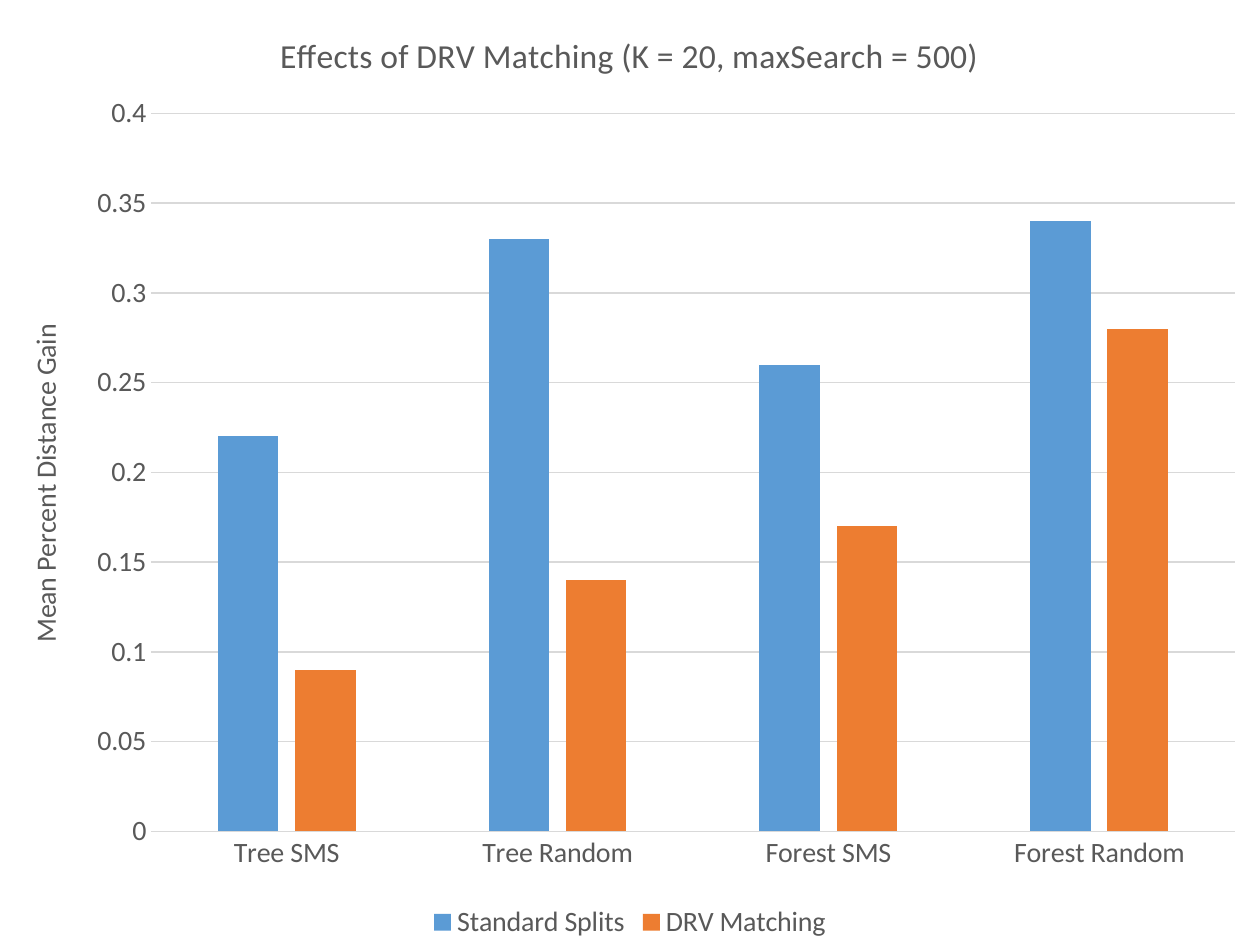
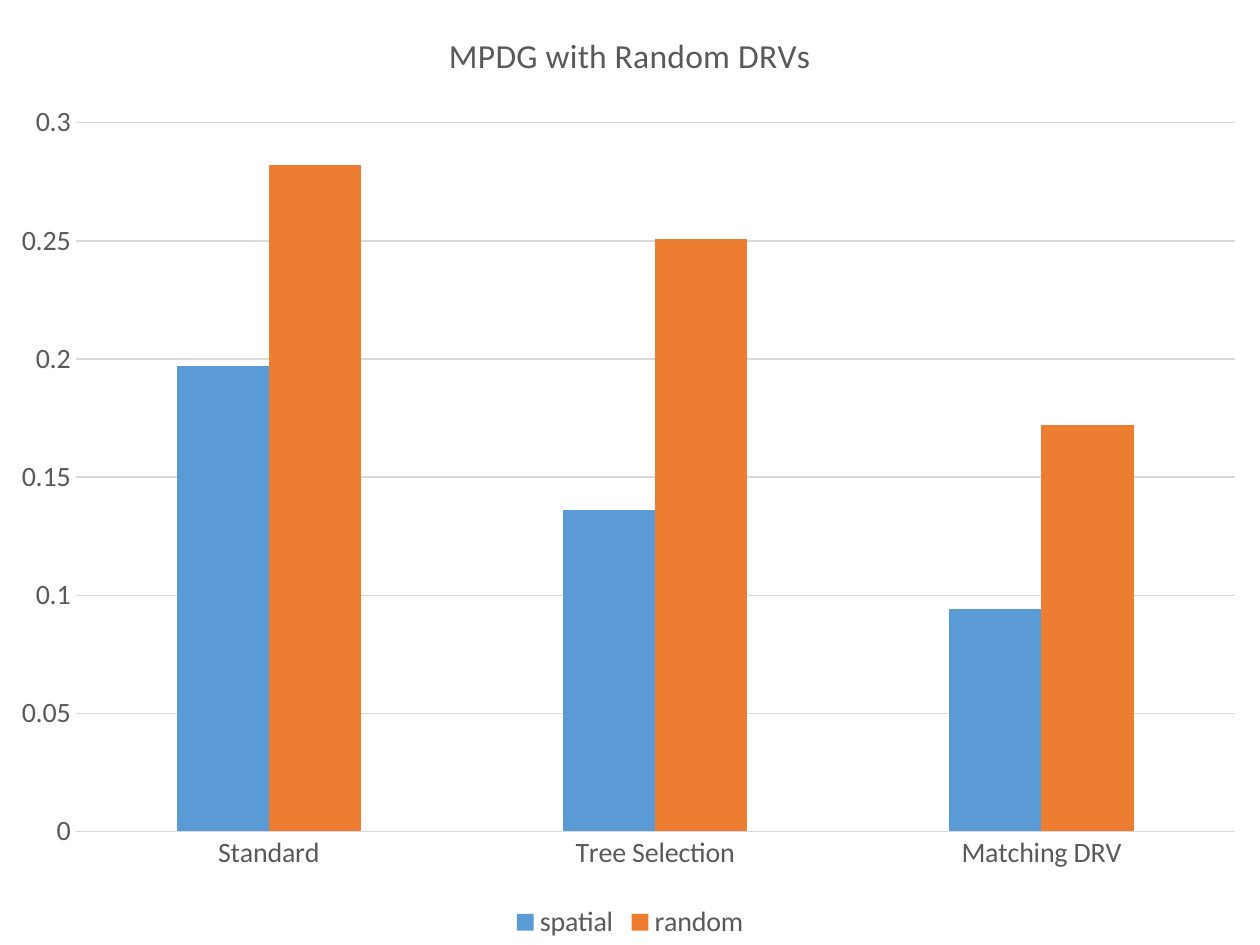
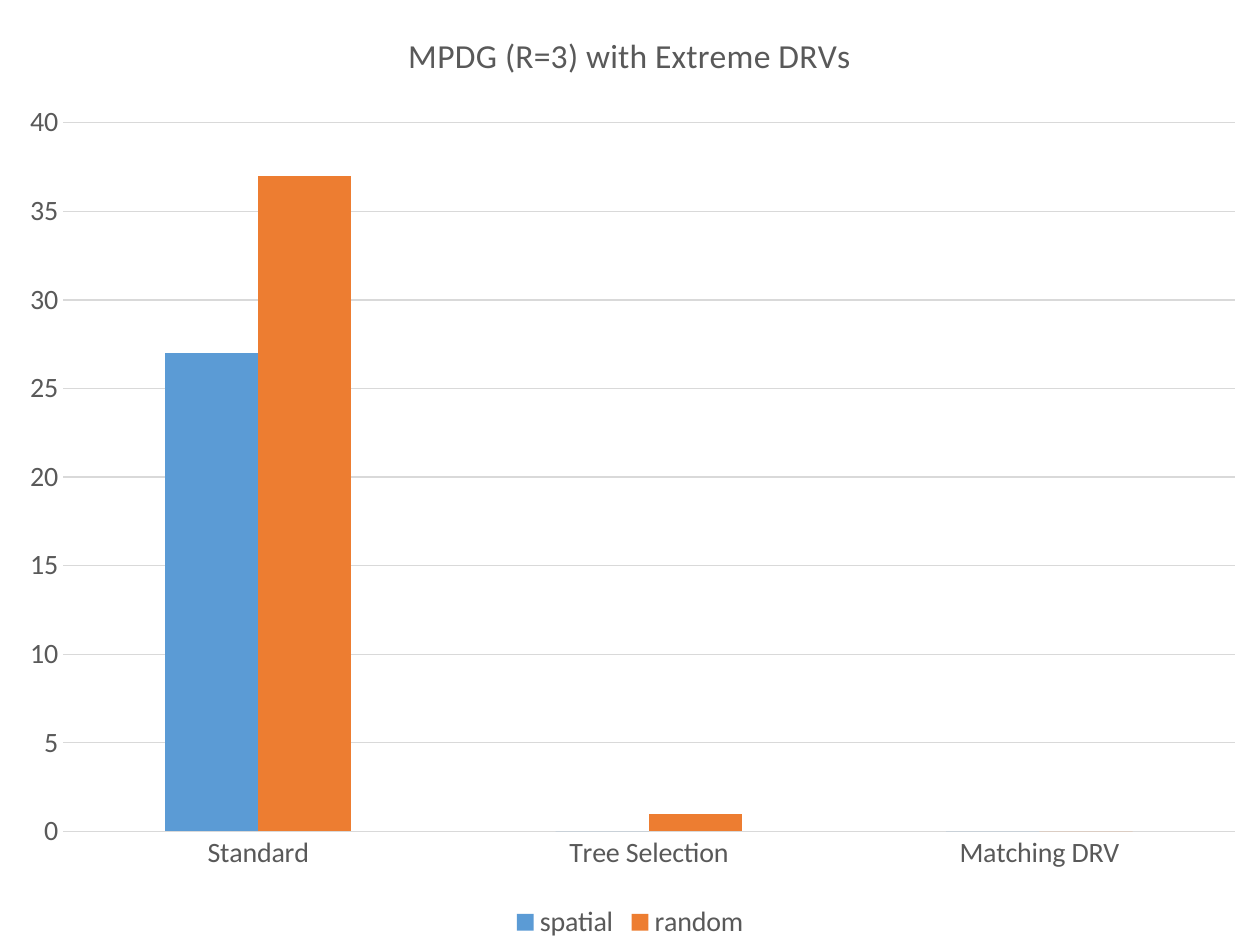
import pptx
import pptx.chart.data
import pptx.dml.color
import pptx.enum.chart
import pptx.util
from pptx.oxml import parse_xml
from pptx.oxml.ns import nsdecls

Cm = pptx.util.Cm
Pt = pptx.util.Pt
RGB = pptx.dml.color.RGBColor

BLUE = RGB(0x5B, 0x9B, 0xD5)
ORANGE = RGB(0xED, 0x7D, 0x31)
GREY = RGB(0x59, 0x59, 0x59)
PALE = RGB(0xD9, 0xD9, 0xD9)
FACE = "Calibri"
WIDE, HIGH = Cm(25.4), Cm(19.05)
RIGHT, BASE = 0.98, 0.88  # plot edges, as shares of the chart

STEPS = ["Standard", "Tree Selection", "Matching DRV"]
CHARTS = [
    {
        "title": "Effects of DRV Matching (K = 20, maxSearch = 500)",
        "axis": "Mean Percent Distance Gain",
        "cats": ["Tree SMS", "Tree Random", "Forest SMS", "Forest Random"],
        "series": {
            "Standard Splits": [0.22, 0.33, 0.26, 0.34],
            "DRV Matching": [0.09, 0.14, 0.17, 0.28],
        },
        "top": 0.4, "step": 0.05, "overlap": -27, "corner": (0.12, 0.12),
    },
    {
        "title": "MPDG with Random DRVs",
        "cats": STEPS,
        "series": {
            "spatial": [0.197, 0.136, 0.094],
            "random": [0.282, 0.251, 0.172],
        },
        "top": 0.3, "step": 0.05, "overlap": 0, "corner": (0.06, 0.13),
    },
    {
        "title": "MPDG (R=3) with Extreme DRVs",
        "cats": STEPS,
        "series": {"spatial": [27, 0, 0], "random": [37, 1, 0]},
        "top": 40, "step": 5, "overlap": 0, "corner": (0.05, 0.13),
    },
]


def style(font, size=16):
    font.name = FACE
    font.size = Pt(size)
    font.bold = False
    font.color.rgb = GREY


def rule(line):
    line.color.rgb = PALE
    line.width = Pt(0.75)


def label(frame, text, size):
    frame.text = text
    style(frame.paragraphs[0].font, size)


def place(chart, left, top):
    """Fix the inner plot area, leaving room for title and legend."""
    area = chart._chartSpace.chart.plotArea
    for old in area.findall(pptx.oxml.ns.qn("c:layout")):
        area.remove(old)
    sizes = {"x": left, "y": top, "w": RIGHT - left, "h": BASE - top}
    parts = "".join(f'<c:{key} val="{size:.2f}"/>' for key, size in sizes.items())
    area.insert(0, parse_xml(
        f'<c:layout {nsdecls("c")}><c:manualLayout><c:layoutTarget val="inner"/>'
        f'<c:xMode val="edge"/><c:yMode val="edge"/>{parts}'
        '</c:manualLayout></c:layout>'))


def draw(slide, item):
    data = pptx.chart.data.CategoryChartData()
    data.categories = item["cats"]
    for name, vals in item["series"].items():
        data.add_series(name, vals)
    kind = pptx.enum.chart.XL_CHART_TYPE.COLUMN_CLUSTERED
    chart = slide.shapes.add_chart(kind, 0, 0, WIDE, HIGH, data).chart
    style(chart.font)
    chart.has_title = True
    label(chart.chart_title.text_frame, item["title"], 19.2)
    chart.chart_title.include_in_layout = False

    chart.has_legend = True
    chart.legend.position = pptx.enum.chart.XL_LEGEND_POSITION.BOTTOM
    chart.legend.include_in_layout = False
    style(chart.legend.font)

    plot = chart.plots[0]
    plot.vary_by_categories = False
    plot.gap_width = 219
    plot.overlap = item["overlap"]
    for series, color in zip(plot.series, (BLUE, ORANGE)):
        series.format.fill.solid()
        series.format.fill.fore_color.rgb = color
        series.invert_if_negative = False

    cat, val = chart.category_axis, chart.value_axis
    for axis in (cat, val):
        style(axis.tick_labels.font)
        axis.major_tick_mark = pptx.enum.chart.XL_TICK_MARK.NONE
        axis.minor_tick_mark = pptx.enum.chart.XL_TICK_MARK.NONE
    rule(cat.format.line)
    val.format.line.fill.background()
    val.has_major_gridlines = True
    rule(val.major_gridlines.format.line)
    val.minimum_scale = 0
    val.maximum_scale = item["top"]
    val.major_unit = item["step"]
    if "axis" in item:
        label(val.axis_title.text_frame, item["axis"], 16)
    place(chart, *item["corner"])


def main():
    deck = pptx.Presentation()
    deck.slide_width, deck.slide_height = WIDE, HIGH
    for item in CHARTS:
        draw(deck.slides.add_slide(deck.slide_layouts[6]), item)
    deck.save("out.pptx")


if __name__ == "__main__":
    main()
